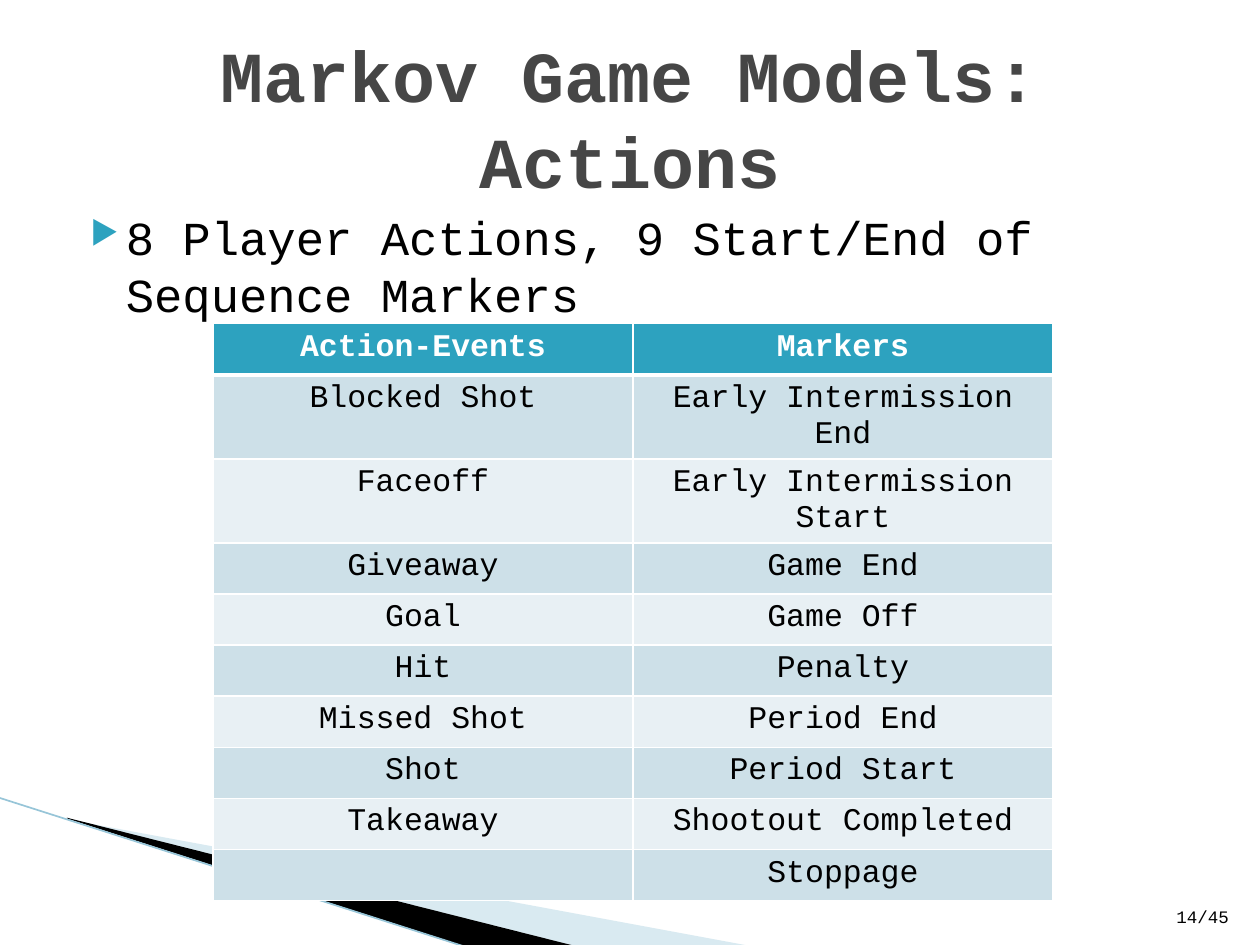
"""Build the slide that lists the actions and markers of Markov game models."""
from itertools import zip_longest
from typing import NamedTuple

from lxml import etree
from pptx import Presentation
from pptx.dml import color
from pptx.enum import shapes, text
from pptx.oxml import ns
from pptx.util import Pt

RGB = color.RGBColor
WHITE = RGB(0xFF, 0xFF, 0xFF)
BLACK = RGB(0, 0, 0)
GRAY = RGB(0x46, 0x46, 0x46)
TEAL = RGB(0x2D, 0xA2, 0xBF)
PALE = RGB(0xA0, 0xCB, 0xDC)
EDGE = RGB(0x97, 0xC5, 0xD8)
BANDS = RGB(0xCD, 0xE0, 0xE8), RGB(0xE8, 0xF0, 0xF4)
FACE = "Courier New"
LEFT, MID, RIGHT = text.PP_ALIGN.LEFT, text.PP_ALIGN.CENTER, text.PP_ALIGN.RIGHT

ACTS = ["Blocked Shot", "Faceoff", "Giveaway", "Goal", "Hit",
        "Missed Shot", "Shot", "Takeaway"]
MARKS = ["Early Intermission End", "Early Intermission Start", "Game End",
         "Game Off", "Penalty", "Period End", "Period Start",
         "Shootout Completed", "Stoppage"]


class Box(NamedTuple):
    """Hold a place and size in points."""
    x: float
    y: float
    w: float
    h: float

    def pts(self) -> list:
        """Return the four lengths for python-pptx."""
        return [Pt(v) for v in self]


class Wedge(NamedTuple):
    """Hold the corners, fill and opacity of a corner wedge."""
    dots: list
    fill: RGB
    alpha: int


WEDGES = [
    Wedge([(39.6, 468.5), (428.4, 540.5), (328.3, 540.5), (39.6, 468)], PALE, 40),
    Wedge([(38.2, 467.3), (329, 540.7), (267.8, 541.4), (38.9, 468)], BLACK, 100),
]


def sub(node, tag: str, **keys: str):
    """Add a child element with its attributes."""
    return etree.SubElement(node, ns.qn(tag), keys)


def put(frame, words: str, size: float, ink: RGB = BLACK, bold: bool = False,
        align=MID, mark: bool = False) -> None:
    """Write one formatted paragraph into a text frame."""
    frame.word_wrap = True
    para = frame.paragraphs[0]
    para.alignment = align
    if mark:
        prop = para._p.get_or_add_pPr()
        prop.set("marL", str(Pt(28.8)))
        prop.set("indent", str(-Pt(20.2)))
        sub(sub(prop, "a:buClr"), "a:srgbClr", val=str(TEAL))
        sub(prop, "a:buSzPct", val="68000")
        sub(prop, "a:buChar", char="▶")
    run = para.add_run()
    run.text = words
    font = run.font
    font.name, font.size, font.bold = FACE, Pt(size), bold
    font.color.rgb = ink


def draw(slide, wedge: Wedge) -> None:
    """Draw one wedge in the lower left corner."""
    dots = [(Pt(x), Pt(y)) for x, y in wedge.dots]
    pen = slide.shapes.build_freeform(*dots[0])
    pen.add_line_segments(dots[1:])
    shape = pen.convert_to_shape()
    shape.shadow.inherit = False
    shape.line.fill.background()
    shape.fill.solid()
    shape.fill.fore_color.rgb = wedge.fill
    if wedge.alpha < 100:
        tone = shape.fill._xPr.find(".//" + ns.qn("a:srgbClr"))
        sub(tone, "a:alpha", val=str(wedge.alpha * 1000))


def rule(slide) -> None:
    """Draw the thin line along the wedges."""
    ends = [Pt(v) for v in (-0.7, 455.8, 267.1, 541.4)]
    line = slide.shapes.add_connector(shapes.MSO_CONNECTOR.STRAIGHT, *ends)
    line.line.color.rgb = EDGE
    line.line.width = Pt(0.95)
    sub(line._element.spPr, "a:effectLst")


def edge(cell, top: float, base: float) -> None:
    """Give a cell white borders."""
    prop = cell._tc.get_or_add_tcPr()
    for side, wide in zip("LRTB", (1, 1, top, base)):
        line = sub(prop, f"a:ln{side}", w=str(Pt(wide)))
        sub(sub(line, "a:solidFill"), "a:srgbClr", val=str(WHITE))


def grid(slide, box: Box) -> None:
    """Draw the table of actions and markers."""
    rows = [("Action-Events", "Markers"),
            *zip_longest(ACTS, MARKS, fillvalue="")]
    table = slide.shapes.add_table(len(rows), 2, *box.pts()).table
    for r, row in enumerate(rows):
        head = r == 0
        table.rows[r].height = Pt(box.h / len(rows))
        for c, words in enumerate(row):
            cell = table.cell(r, c)
            edge(cell, 3 if r == 1 else 1, 3 if head else 1)
            cell.margin_bottom = Pt(1.2)
            cell.fill.solid()
            cell.fill.fore_color.rgb = TEAL if head else BANDS[(r - 1) % 2]
            if words:
                put(cell.text_frame, words, 18, WHITE if head else BLACK, head)


def note(slide, box: Box):
    """Add an empty text box and return its frame."""
    return slide.shapes.add_textbox(*box.pts()).text_frame


def main() -> None:
    """Build and save the slide."""
    deck = Presentation()
    deck.slide_width, deck.slide_height = Pt(720), Pt(540)
    slide = deck.slides.add_slide(deck.slide_layouts[5])
    for wedge in WEDGES:
        draw(slide, wedge)
    rule(slide)

    title = slide.shapes.title
    title.left, title.top, title.width, title.height = Box(36, 21.6, 648, 90).pts()
    title.text_frame.auto_size = text.MSO_AUTO_SIZE.NONE
    title.text_frame.vertical_anchor = text.MSO_ANCHOR.MIDDLE
    put(title.text_frame, "Markov Game Models: Actions", 41, GRAY, True)

    body = note(slide, Box(36, 116.6, 648, 356.4))
    body.margin_top = Pt(2.6)
    put(body, "8 Player Actions, 9 Start/End of Sequence Markers", 27,
        align=LEFT, mark=True)

    page = note(slide, Box(660.2, 504.7, 49, 28.8))
    page.vertical_anchor = text.MSO_ANCHOR.BOTTOM
    put(page, "14/45", 10, align=RIGHT)

    grid(slide, Box(121.7, 185, 480, 292))
    deck.save("out.pptx")


if __name__ == "__main__":
    main()
